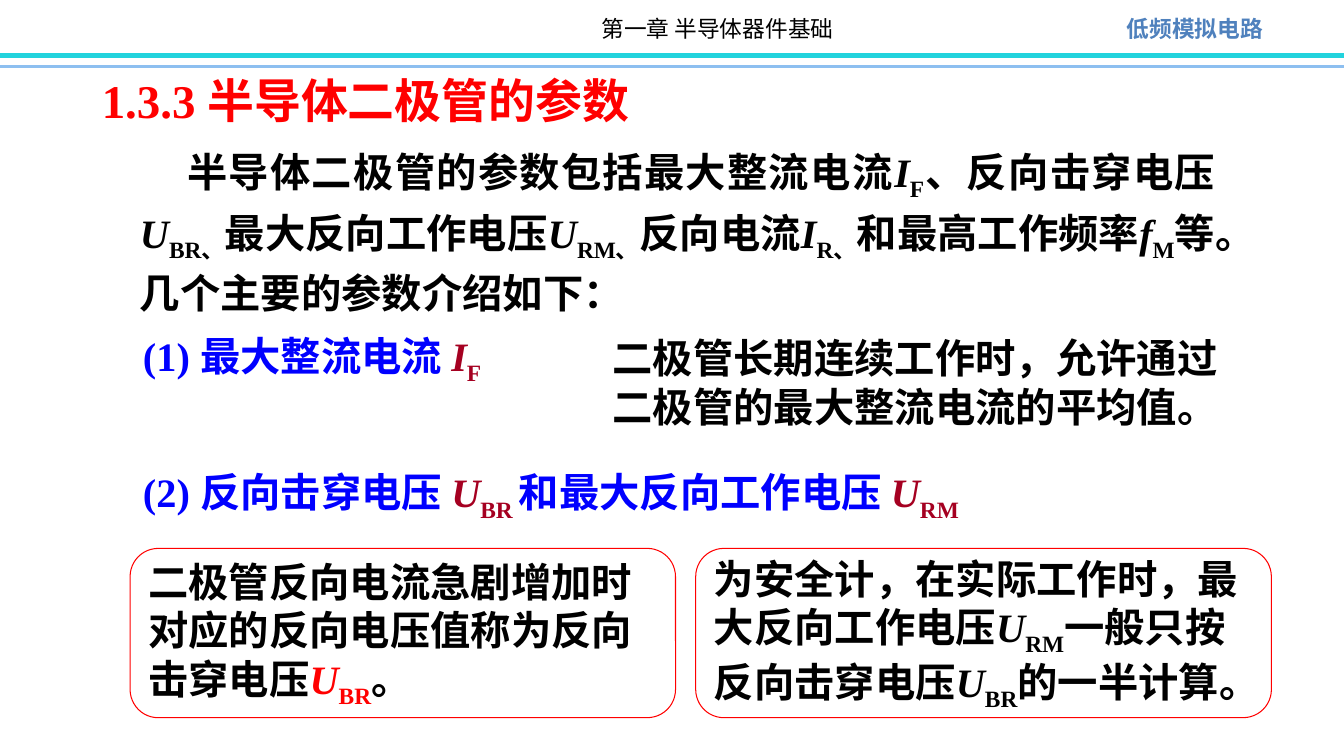
from dataclasses import dataclass

from lxml import etree
from pptx import Presentation
from pptx import util as u
from pptx.dml.color import RGBColor
from pptx.enum import shapes, text
from pptx.oxml.ns import qn


@dataclass(frozen=True)
class Theme:
    black: str = "000000"
    red: str = "FF0000"
    blue: str = "0000FF"
    crimson: str = "A50021"
    course: str = "4F81BD"
    rule: str = "22D3DD"
    thin_rule: str = "8DBFF0"
    title: float = 33.5
    body: float = 28.8
    header: float = 16.2
    latin: str = "Times New Roman"
    header_latin: str = "Calibri"
    east_asian: str = "Noto Sans CJK SC"


def add_run(p, content, *, size, color, latin, east_asian, bold=True,
            italic=False, subscript=False):
    """Append one formatted run to a paragraph."""
    r = p.add_run()
    r.text = content
    f = r.font
    f.size, f.bold, f.italic, f.name = u.Pt(size), bold, italic, latin
    f.color.rgb = RGBColor.from_string(color)
    rPr = r._r.get_or_add_rPr()
    etree.SubElement(rPr, qn("a:ea")).set("typeface", east_asian)
    if subscript:
        rPr.set("baseline", "-25000")


class SlideBuilder:
    def __init__(self, prs, theme):
        self.theme = theme
        self.s = prs.slides.add_slide(prs.slide_layouts[5])

    def fill_text(self, sp, content, *, size=None, color=None, symbol=None,
                  latin=None, bold=True, align=text.PP_ALIGN.LEFT,
                  anchor=text.MSO_ANCHOR.TOP, spacing=1.0, indent=0):
        """Fill a shape; |U_BR| marks an italic symbol with its subscript."""
        t = self.theme
        color = color or t.black
        tf = sp.text_frame
        tf.word_wrap, tf.vertical_anchor = True, anchor
        tf.auto_size = text.MSO_AUTO_SIZE.NONE
        p = tf.paragraphs[0]
        p.alignment, p.line_spacing, p.space_before = align, spacing, u.Pt(0)
        if indent:
            p._p.get_or_add_pPr().set("indent", str(u.Inches(indent)))
        style = dict(size=size or t.body, latin=latin or t.latin,
                     east_asian=t.east_asian, bold=bold)
        for i, part in enumerate(content.split("|")):
            if i % 2:
                name, sub = part.split("_")
                add_run(p, name, color=symbol or color, italic=True, **style)
                add_run(p, sub, color=symbol or color, subscript=True, **style)
            elif part:
                add_run(p, part, color=color, **style)

    def title(self, box, content, **fmt):
        sp = self.s.shapes.title
        sp.left, sp.top, sp.width, sp.height = map(u.Inches, box)
        self.fill_text(sp, content, **fmt)

    def label(self, box, content, **fmt):
        sp = self.s.shapes.add_textbox(*map(u.Inches, box))
        self.fill_text(sp, content, **fmt)

    def panel(self, box, content, line=None, **fmt):
        sp = self.s.shapes.add_shape(
            shapes.MSO_SHAPE.ROUNDED_RECTANGLE, *map(u.Inches, box))
        sp.shadow.inherit = False
        sp.fill.background()
        if line:
            sp.line.color.rgb = RGBColor.from_string(line)
            sp.line.width = u.Pt(0.75)
        else:
            sp.line.fill.background()
        self.fill_text(sp, content, anchor=text.MSO_ANCHOR.MIDDLE, **fmt)

    def rule(self, y, color, width):
        sp = self.s.shapes.add_connector(
            shapes.MSO_CONNECTOR.STRAIGHT,
            u.Inches(0), u.Inches(y), u.Inches(13.33), u.Inches(y))
        sp.line.color.rgb = RGBColor.from_string(color)
        sp.line.width = u.Pt(width)
        etree.SubElement(sp._element.spPr, qn("a:effectLst"))


def main():
    prs = Presentation()
    prs.slide_width, prs.slide_height = u.Inches(13.33), u.Inches(7.5)
    t = Theme()
    b = SlideBuilder(prs, t)

    # Page header
    b.rule(0.66, t.thin_rule, 1.5)
    b.rule(0.55, t.rule, 3)
    header = dict(size=t.header, latin=t.header_latin,
                  align=text.PP_ALIGN.CENTER)
    b.label((4.25, 0.1, 5.73, 0.37), "第一章 半导体器件基础",
            bold=False, **header)
    b.label((10.55, 0.1, 2.6, 0.37), "低频模拟电路", color=t.course, **header)

    # Title and introduction
    b.title((0.91, 0.66, 7.99, 0.66), "1.3.3 半导体二极管的参数",
            size=t.title, color=t.red)
    b.label((1.29, 1.36, 10.86, 1.7),
            "半导体二极管的参数包括最大整流电流|I_F|、反向击穿电压|U_BR、|"
            "最大反向工作电压|U_RM、|反向电流|I_R、|和最高工作频率|f_M|"
            "等。几个主要的参数介绍如下：",
            align=text.PP_ALIGN.JUSTIFY, spacing=1.1, indent=0.47)

    # Parameter 1: forward current
    heading = dict(color=t.blue, symbol=t.crimson)
    b.label((1.32, 3.24, 5.4, 0.58), "(1) 最大整流电流 |I_F|", **heading)
    b.panel((5.91, 3.09, 6.62, 1.4),
            "二极管长期连续工作时，允许通过二极管的最大整流电流的平均值。")

    # Parameter 2: reverse voltages
    b.label((1.32, 4.59, 10.73, 0.58),
            "(2) 反向击穿电压 |U_BR |和最大反向工作电压 |U_RM|", **heading)
    b.panel((1.29, 5.44, 5.41, 1.68),
            "二极管反向电流急剧增加时对应的反向电压值称为反向击穿电压|U_BR|。",
            line=t.red, symbol=t.red)
    b.panel((6.9, 5.44, 5.71, 1.68),
            "为安全计，在实际工作时，最大反向工作电压|U_RM|"
            "一般只按反向击穿电压|U_BR|的一半计算。", line=t.red)

    prs.save("out.pptx")


if __name__ == "__main__":
    main()
